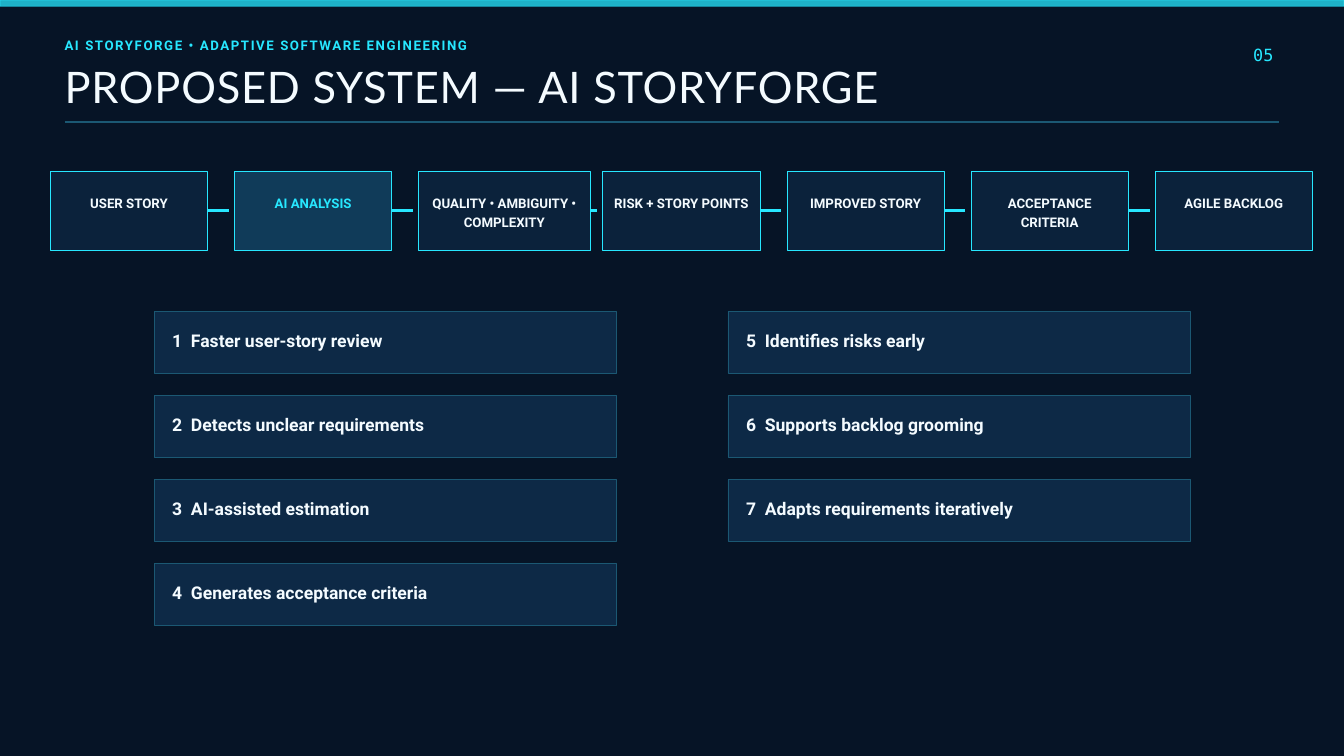
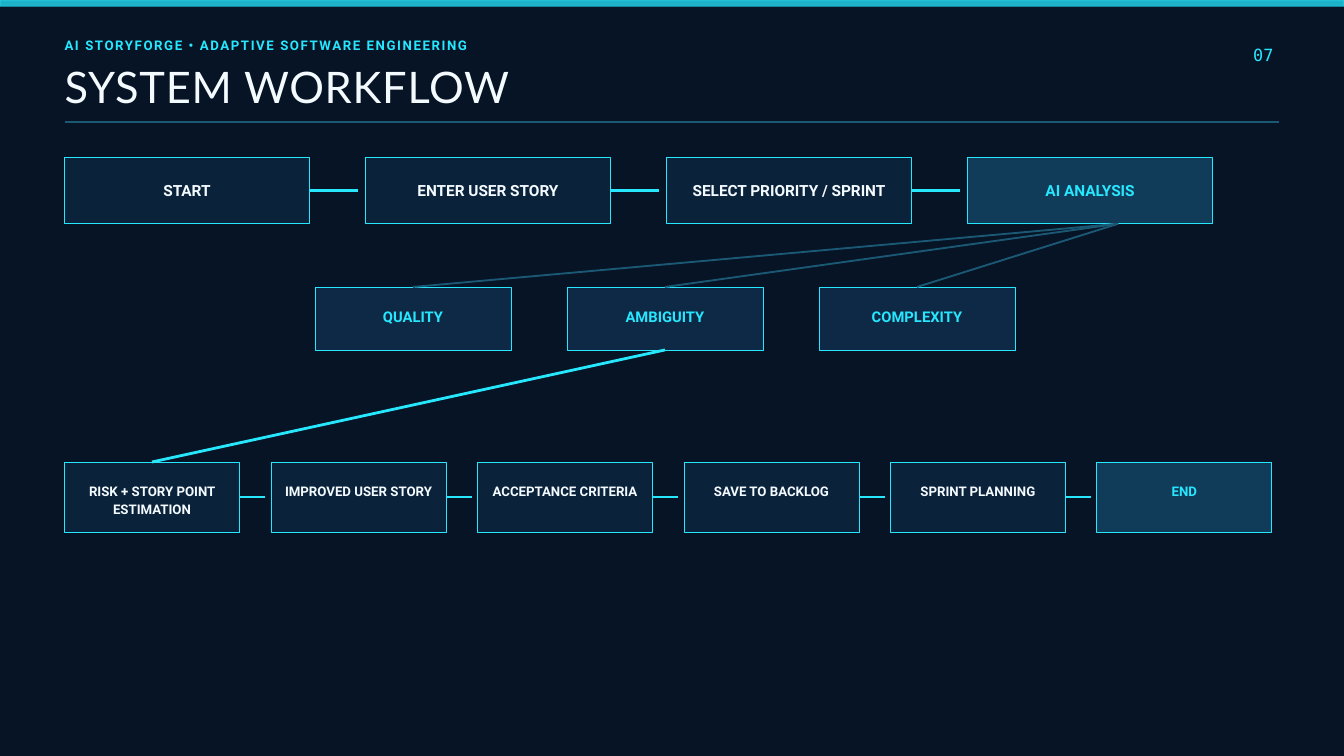
from dataclasses import dataclass

import pptx
import pptx.dml.color
import pptx.enum.shapes
import pptx.enum.text
import pptx.oxml
import pptx.oxml.ns
import pptx.util

COLORS = {
    "background": "061426",
    "cyan": "27E7FF",
    "white": "F4FBFF",
    "rule": "1B5873",
    "step": "0B223B",
    "highlight": "103B59",
    "card": "0D2946",
}
BODY_FONT = "Roboto"
TITLE_FONT = "Lato"
NUMBER_FONT = "DejaVu Sans Mono"
SLIDE_WIDTH = pptx.util.Inches(20)
SLIDE_HEIGHT = pptx.util.Inches(11.25)
LEFT, CENTER, RIGHT = (
    pptx.enum.text.PP_ALIGN.LEFT,
    pptx.enum.text.PP_ALIGN.CENTER,
    pptx.enum.text.PP_ALIGN.RIGHT,
)
TOP_SIDE, BOTTOM_SIDE, RIGHT_SIDE = 0, 2, 3


def across(percent):
    return round(SLIDE_WIDTH * percent / 100)


def down(percent):
    return round(SLIDE_HEIGHT * percent / 100)


@dataclass
class Box:
    """An area in percent of the slide's width and height."""

    left: float
    top: float
    width: float
    height: float

    def place(self):
        return across(self.left), down(self.top), across(self.width), down(self.height)

    def columns(self, count, gap):
        width = (self.width - gap * (count - 1)) / count
        return [Box(self.left + i * (width + gap), self.top, width, self.height)
                for i in range(count)]

    def rows(self, count, gap):
        height = (self.height - gap * (count - 1)) / count
        return [Box(self.left, self.top + i * (height + gap), self.width, height)
                for i in range(count)]


@dataclass
class TextStyle:
    size: float
    leading: float
    color: str = "white"
    font: str = BODY_FONT
    bold: bool = True
    align: int = LEFT
    tracking: int = 0
    tab: float = 0


KICKER = TextStyle(14.2, 19.9, "cyan", tracking=170)
TITLE = TextStyle(46.5, 46.5, font=TITLE_FONT, bold=False, tracking=90)
NUMBER = TextStyle(18, 25.2, "cyan", NUMBER_FONT, False, RIGHT)
CARD_TEXT = TextStyle(18.8, 26.2, tab=1.4)


def rgb(name):
    return pptx.dml.color.RGBColor.from_string(COLORS[name])


def write(shape, text, style, inset=(0, 0), color=None):
    frame = shape.text_frame
    frame.word_wrap = True
    frame.auto_size = pptx.enum.text.MSO_AUTO_SIZE.NONE
    frame.vertical_anchor = pptx.enum.text.MSO_ANCHOR.TOP
    frame.margin_left = frame.margin_right = across(inset[0])
    frame.margin_top, frame.margin_bottom = down(inset[1]), 0
    para = frame.paragraphs[0]
    if style.tab:
        tabs = pptx.oxml.parse_xml(
            f'<a:tabLst {pptx.oxml.ns.nsdecls("a")}>'
            f'<a:tab pos="{across(style.tab)}" algn="l"/></a:tabLst>')
        para._p.get_or_add_pPr().append(tabs)
    para.alignment = style.align
    para.line_spacing = pptx.util.Pt(style.leading)
    span = para.add_run()
    span.text = text
    span.font.name = style.font
    span.font.size = pptx.util.Pt(style.size)
    span.font.bold = style.bold
    span.font.color.rgb = rgb(color or style.color)
    if style.tracking:
        span._r.get_or_add_rPr().set("spc", str(style.tracking))


def add_panel(page, box, fill, line):
    panel = page.shapes.add_shape(
        pptx.enum.shapes.MSO_SHAPE.RECTANGLE, *box.place())
    panel.shadow.inherit = False
    panel.fill.solid()
    panel.fill.fore_color.rgb = rgb(fill)
    panel.line.color.rgb = rgb(line)
    panel.line.width = pptx.util.Pt(0.75)
    return panel


def add_line(page, start, end, color="cyan", width=3):
    line = page.shapes.add_connector(
        pptx.enum.shapes.MSO_CONNECTOR.STRAIGHT,
        across(start[0]), down(start[1]), across(end[0]), down(end[1]))
    line.line.color.rgb = rgb(color)
    line.line.width = pptx.util.Pt(width)
    line._element.spPr.append(
        pptx.oxml.parse_xml(f'<a:effectLst {pptx.oxml.ns.nsdecls("a")}/>'))
    return line


def add_label(page, box, text, style):
    write(page.shapes.add_textbox(*box.place()), text, style)


def add_page(deck, title, number):
    """Start a slide with the band, kicker, title, number and rule."""
    page = deck.slides.add_slide(deck.slide_layouts[5])
    band = add_panel(page, Box(0, 0, 100, 0.83), "cyan", "cyan")
    for color in band._element.spPr.iter(pptx.oxml.ns.qn("a:srgbClr")):
        color.append(pptx.oxml.parse_xml(
            f'<a:alpha {pptx.oxml.ns.nsdecls("a")} val="75000"/>'))
    add_label(page, Box(4.8, 4.63, 52.1, 2.25),
              "AI STORYFORGE • ADAPTIVE SOFTWARE ENGINEERING", KICKER)
    heading = page.shapes.title
    heading.left, heading.top, heading.width, heading.height = (
        Box(4.8, 9.07, 78.1, 6.2).place())
    write(heading, title, TITLE)
    add_label(page, Box(88, 5.5, 6.75, 2.96), number, NUMBER)
    add_line(page, (4.8, 16.1), (95.2, 16.1), "rule", 2)
    return page


def add_steps(page, box, labels, gap, style, inset, fill="step",
              highlight=None, stretch=None):
    """Fill the box with a row of equal steps; stretch widens single ones."""
    steps = []
    for i, (cell, label) in enumerate(zip(box.columns(len(labels), gap), labels)):
        cell.width += (stretch or {}).get(i, 0)
        lit = i == highlight
        step = add_panel(page, cell, "highlight" if lit else fill, "cyan")
        write(step, label, style, inset, "cyan" if lit else None)
        steps.append(step)
    return steps


def link_steps(page, box, steps, gap, clearance):
    """Draw a line from each step to just before the next one."""
    middle = box.top + box.height / 2
    cells = box.columns(len(steps), gap)
    for step, cell, following in zip(steps, cells, cells[1:]):
        line = add_line(page, (cell.left + cell.width, middle),
                        (following.left - clearance, middle))
        line.begin_connect(step, RIGHT_SIDE)


def add_cards(page, box, labels, rows=4):
    """Number the labels down the columns of a two-column grid."""
    cells = [cell for column in box.columns(2, 8.3)
             for cell in column.rows(rows, 2.96)]
    for number, (cell, label) in enumerate(zip(cells, labels), 1):
        card = add_panel(page, cell, "card", "rule")
        write(card, f"{number}\t{label}", CARD_TEXT, (1.35, 1.98))


def build_proposed_system(deck):
    page = add_page(deck, "PROPOSED SYSTEM — AI STORYFORGE", "05")
    flow = Box(3.75, 22.67, 93.9, 10.4)
    steps = add_steps(
        page, flow,
        ["USER STORY", "AI ANALYSIS", "QUALITY • AMBIGUITY • COMPLEXITY",
         "RISK + STORY POINTS", "IMPROVED STORY", "ACCEPTANCE CRITERIA",
         "AGILE BACKLOG"],
        2, TextStyle(14.2, 19.9, align=CENTER), (0.61, 2.84),
        highlight=1, stretch={2: 1.05})
    link_steps(page, flow, steps, 2, 0.42)
    add_cards(page, Box(11.46, 41.2, 77.1, 41.48), [
        "Faster user-story review", "Detects unclear requirements",
        "AI-assisted estimation", "Generates acceptance criteria",
        "Identifies risks early", "Supports backlog grooming",
        "Adapts requirements iteratively"])


def build_workflow(deck):
    page = add_page(deck, "SYSTEM WORKFLOW", "07")
    intake = Box(4.8, 20.8, 85.42, 8.8)
    intake_steps = add_steps(
        page, intake,
        ["START", "ENTER USER STORY", "SELECT PRIORITY / SPRINT", "AI ANALYSIS"],
        4.17, TextStyle(16.5, 23.1, align=CENTER), (0.95, 2.76), highlight=3)
    link_steps(page, intake, intake_steps, 4.17, 0.55)

    checks = add_steps(
        page, Box(23.44, 37.96, 52.08, 8.33),
        ["QUALITY", "AMBIGUITY", "COMPLEXITY"],
        4.17, TextStyle(15.8, 22, "cyan", align=CENTER), (0.78, 2.4), fill="card")
    fan_start = (83.2, intake.top + intake.height)
    for check in checks:
        line = add_line(page, fan_start, fan_start, "rule", 2)
        line.end_connect(check, TOP_SIDE)

    delivery = Box(4.8, 61.11, 89.83, 9.26)
    delivery_steps = add_steps(
        page, delivery,
        ["RISK + STORY POINT ESTIMATION", "IMPROVED USER STORY",
         "ACCEPTANCE CRITERIA", "SAVE TO BACKLOG", "SPRINT PLANNING", "END"],
        2.34, TextStyle(14.2, 19.9, align=CENTER), (0.73, 2.44), highlight=5)
    link_steps(page, delivery, delivery_steps, 2.34, 0.42)
    handover = add_line(page, (0, 0), (0, 0))
    handover.begin_connect(checks[1], BOTTOM_SIDE)
    handover.end_connect(delivery_steps[0], TOP_SIDE)


def main():
    deck = pptx.Presentation()
    deck.slide_width, deck.slide_height = SLIDE_WIDTH, SLIDE_HEIGHT
    backdrop = deck.slide_master.background.fill
    backdrop.solid()
    backdrop.fore_color.rgb = rgb("background")
    build_proposed_system(deck)
    build_workflow(deck)
    deck.save("out.pptx")


if __name__ == "__main__":
    main()
